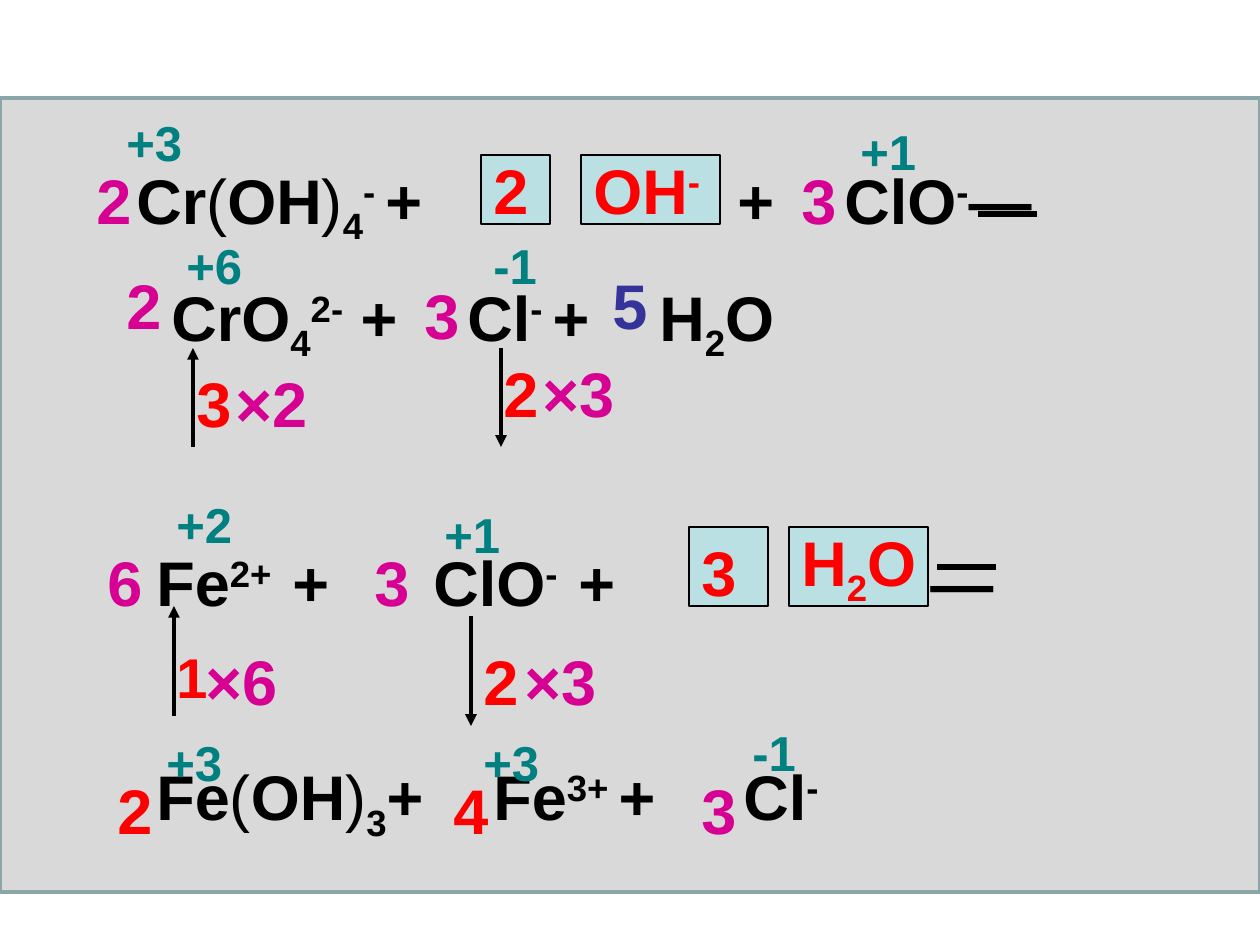
from lxml.etree import SubElement
from pptx import Presentation
from pptx.dml.color import RGBColor
from pptx.enum.shapes import MSO_CONNECTOR, MSO_SHAPE
from pptx.enum.text import MSO_ANCHOR, PP_ALIGN
from pptx.oxml.ns import qn
from pptx.util import Emu, Pt

THEME = {
    "font": "Arial",
    "ink": "000000", "panel": "D9D9D9", "panel_line": "8AA6A8", "box": "BBE0E3",
    "oxidation": "008080", "coefficient": "D60093", "balance": "FF0000", "water": "333399",
    "formula_size": 36, "oxidation_size": 28, "small_size": 32,
}

# Formulas: "|" parts the runs, "_" lowers and "^" raises a run.
# Equation: left, top, width, height, lines of (formula, space before, tab stops)
EQUATIONS = [
    (124, 155, 1072, 204, [
        ("Cr|(|OH|)|_4|^- |+\t+\tClO|^-|—", 0, (601, 708)),
        ("\tCrO|_4|^2-| +\tCl|^- |+\tH|_2|O", 31, (35, 331, 523)),
    ]),
    (144, 537, 1012, 315, [
        ("Fe|^2+|\t+\tClO|^-|\t+\t—", 0, (136, 277, 422, 774)),
        ("Fe|(|OH|)|_3|+\tFe|^3+ |+\tCl|^-", 139, (337, 587)),
    ]),
]

# Labels: colour, size, height, then (text, left, top, width)
LABELS = [
    ("oxidation", "oxidation_size", 72, [
        ("+3", 114, 106, 118), ("+1", 848, 115, 89),
        ("+6", 174, 229, 118), ("-1", 481, 229, 79),
        ("+2", 164, 488, 89), ("+1", 432, 498, 89),
        ("+3", 154, 726, 89), ("+3", 471, 726, 89), ("-1", 740, 716, 69),
    ]),
    ("coefficient", "formula_size", 88, [
        ("2", 84, 155, 49), ("3", 789, 155, 89),
        ("2", 114, 260, 49), ("3", 412, 270, 89),
        ("×2", 223, 358, 110), ("×3", 530, 348, 100),
        ("6", 95, 537, 79), ("3", 362, 537, 79),
        ("×6", 193, 636, 100), ("×3", 512, 636, 110),
        ("3", 689, 765, 79),
    ]),
    ("balance", "formula_size", 88, [
        ("3", 184, 358, 79), ("2", 491, 348, 89),
        ("2", 481, 145, 69), ("OH|^-", 581, 145, 159),
        ("3", 689, 527, 79), ("H|_2|O", 789, 517, 169),
        ("2", 471, 636, 59), ("2", 105, 765, 89), ("4", 441, 765, 79),
    ]),
    ("balance", "small_size", 79, [("1", 164, 636, 59)]),
    ("water", "formula_size", 88, [("5", 600, 260, 69)]),
]

# Boxes behind the added species: left, top, width, height
ADDED_BOXES = [(581, 155, 139, 69), (481, 155, 69, 69),
               (789, 527, 139, 79), (689, 527, 79, 79)]

# Electron transfer arrows: x, start y, end y
TRANSFERS = [(193, 447, 348), (501, 348, 447), (174, 716, 606), (471, 616, 726)]

# Second stroke of each equals sign: left, y, length
EQUALS_STROKES = [(978, 214, 59), (937, 567, 59)]


def px(count):
    return Emu(round(count * 914400 / 126))


def color(name):
    return RGBColor.from_string(THEME[name])


prs = Presentation()
prs.slide_width, prs.slide_height = px(1260), px(945)
slide = prs.slides.add_slide(prs.slide_layouts[6])


def add_rect(bounds, fill, line, width):
    rect = slide.shapes.add_shape(MSO_SHAPE.RECTANGLE, *map(px, bounds))
    rect.shadow.inherit = False
    rect.fill.solid()
    rect.fill.fore_color.rgb = color(fill)
    rect.line.color.rgb = color(line)
    rect.line.width = Pt(width)


def add_stroke(x1, y1, x2, y2, width, arrow=False):
    stroke = slide.shapes.add_connector(MSO_CONNECTOR.STRAIGHT, *map(px, (x1, y1, x2, y2)))
    stroke.line.color.rgb = color("ink")
    stroke.line.width = Pt(width)
    if arrow:
        SubElement(stroke.line._get_or_add_ln(), qn("a:tailEnd"), type="triangle")
    SubElement(stroke._element.spPr, qn("a:effectLst"))


def add_text_frame(bounds):
    frame = slide.shapes.add_textbox(*map(px, bounds)).text_frame
    frame.word_wrap = True
    frame.vertical_anchor = MSO_ANCHOR.TOP
    return frame


def write_formula(paragraph, formula, ink, size):
    paragraph.alignment = PP_ALIGN.LEFT
    for part in formula.split("|"):
        run = paragraph.add_run()
        run.text = part.lstrip("_^")
        run.font.name = THEME["font"]
        run.font.size = Pt(THEME[size])
        run.font.bold = part not in "()"
        run.font.color.rgb = color(ink)
        baseline = {"_": "-25000", "^": "30000"}.get(part[0])
        if baseline:
            run.font._element.set("baseline", baseline)


def set_tabs(paragraph, stops):
    tab_list = SubElement(paragraph._p.get_or_add_pPr(), qn("a:tabLst"))
    for stop in stops:
        SubElement(tab_list, qn("a:tab"), pos=str(px(stop)), algn="l")


# Panel
add_rect((0, 98, 1260, 794), "panel", "panel_line", 2)

# Equations
for *bounds, lines in EQUATIONS:
    equation = add_text_frame(bounds)
    for index, (formula, gap, stops) in enumerate(lines):
        paragraph = equation.add_paragraph() if index else equation.paragraphs[0]
        set_tabs(paragraph, stops)
        if gap:
            paragraph.space_before = px(gap)
        write_formula(paragraph, formula, "ink", "formula_size")

# Added species boxes
for bounds in ADDED_BOXES:
    add_rect(bounds, "box", "ink", 0.75)

# Electron transfers and equals signs
for x, start, end in TRANSFERS:
    add_stroke(x, start, x, end, 2.25, arrow=True)
for left, y, length in EQUALS_STROKES:
    add_stroke(left, y, left + length, y, 3)

# Oxidation numbers, coefficients and added species
for ink, size, height, labels in LABELS:
    for formula, left, top, width in labels:
        label = add_text_frame((left, top, width, height))
        write_formula(label.paragraphs[0], formula, ink, size)

prs.save("out.pptx")
